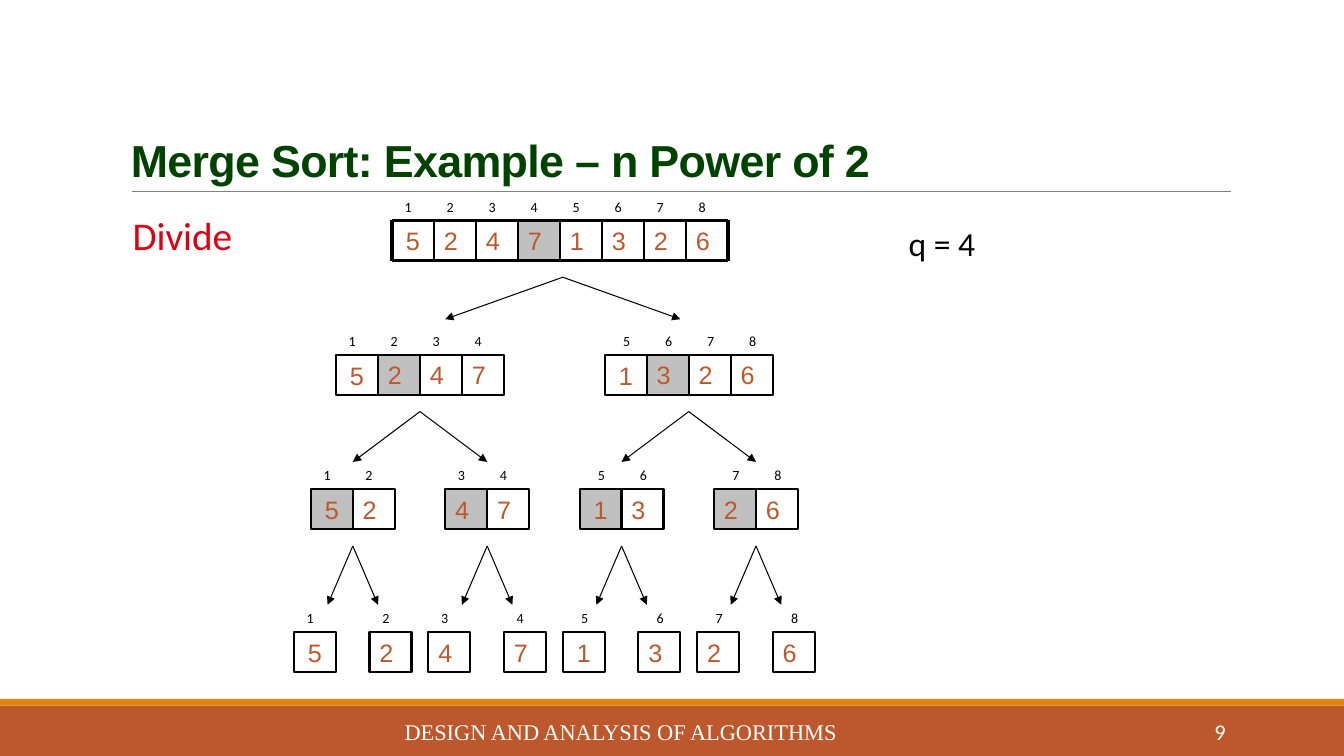
import pptx
import pptx.util
import pptx.dml.color
import pptx.enum.shapes
import pptx.enum.text
import pptx.oxml.ns
from lxml import etree

UNIT = pptx.util.Inches(1) / 12  # the slide is a grid of 160 columns and 90 rows
CELL_WIDTH, CELL_HEIGHT = 5, 4.8
LABEL_WIDTH, LABEL_HEIGHT = 3, 3.24
BLACK, RUST, ORANGE, SILVER = "000000", "BD582C", "E48312", "C0C0C0"

colour = pptx.dml.color.RGBColor.from_string
align = pptx.enum.text.PP_ALIGN
anchor = pptx.enum.text.MSO_ANCHOR
preset = pptx.enum.shapes.MSO_SHAPE

title_font = {"name": "Arial", "size": pptx.util.Pt(32), "bold": True}
footer_font = {"name": "Times New Roman", "size": pptx.util.Pt(16)}
number_font = {"name": "Calibri", "size": pptx.util.Pt(16)}
label_font = {"name": "Calibri", "size": pptx.util.Pt(10)}
cell_font = {"name": "Arial", "size": pptx.util.Pt(18)}
note_font = {"name": "Calibri", "size": pptx.util.Pt(24)}
heading_font = {"name": "Calibri", "size": pptx.util.Pt(28)}


def add_box(frame, text="", font=None, ink=BLACK, fill=None, line=None,
            across=align.LEFT, down=anchor.TOP):
    """Add a rectangle, or a text box if it has neither fill nor line; frame is in grid units."""
    place = [round(length * UNIT) for length in frame]
    if fill or line:
        box = page.shapes.add_shape(preset.RECTANGLE, *place)
        box.shadow.inherit = False
    else:
        box = page.shapes.add_textbox(*place)
    if fill:
        box.fill.solid()
        box.fill.fore_color.rgb = colour(fill)
    else:
        box.fill.background()
    if line:
        box.line.color.rgb = colour(BLACK)
        box.line.width = pptx.util.Pt(line)
    else:
        box.line.fill.background()
    box.text_frame.word_wrap = True
    box.text_frame.vertical_anchor = down
    if text:
        para = box.text_frame.paragraphs[0]
        para.alignment = across
        span = para.add_run()
        span.text = text
        for name, value in font.items():
            setattr(span.font, name, value)
        span.font.color.rgb = colour(ink)
    return box


def add_line(start, end, width, ink=BLACK, arrow=False):
    """Join two (column, row) points of the grid with a straight line."""
    line = page.shapes.add_connector(
        pptx.enum.shapes.MSO_CONNECTOR.STRAIGHT,
        *[round(length * UNIT) for length in start + end])
    line.line.color.rgb = colour(ink)
    line.line.width = pptx.util.Pt(width)
    properties = line._element.spPr
    if arrow:
        outline = properties.find(pptx.oxml.ns.qn("a:ln"))
        etree.SubElement(outline, pptx.oxml.ns.qn("a:tailEnd"), type="triangle")
    etree.SubElement(properties, pptx.oxml.ns.qn("a:effectLst"))


deck = pptx.Presentation()
deck.slide_width = round(160 * UNIT)
deck.slide_height = round(90 * UNIT)
page = deck.slides.add_slide(deck.slide_layouts[6])

# Footer bars, title and rule
add_box((0, 84, 160, 6), fill=RUST)
add_box((0, 83.2, 160, 0.8), fill=ORANGE)
add_line((15.7, 22.8), (146.5, 22.8), 0.5, "808080")
title = add_box((14.4, 3.7, 132, 19.1), "Merge Sort: Example – n Power of 2",
                title_font, "004200", down=anchor.BOTTOM)
title_para = title.text_frame.paragraphs[0]
title_para.line_spacing = 0.85
title_para.runs[0]._r.get_or_add_rPr().set("spc", "-50")
add_box((44, 84.7, 59.8, 4.8), "DESIGN AND ANALYSIS OF ALGORITHMS", footer_font,
        "FFFFFF", across=align.CENTER, down=anchor.MIDDLE)
add_box((130, 84.7, 17.1, 4.8), "9", number_font, "FFFFFF",
        across=align.RIGHT, down=anchor.MIDDLE)
add_box((14.6, 24.6, 15.4, 6.8), "Divide", heading_font, "DD0111")
add_box((107, 26, 13, 6.1), "q = 4", note_font)

# Each level: row of its labels, left column of each run of cells
values = [5, 2, 4, 7, 1, 3, 2, 6]
levels = [
    (23, [46.67]),
    (39, [40, 72]),
    (55, [37, 53, 69, 85]),
    (72, [35, 44, 51, 60, 67, 76, 83, 92]),
]
for label_top, lefts in levels:
    whole = len(lefts) == 1
    run_length = len(values) // len(lefts)
    cell_top = label_top + LABEL_HEIGHT
    for index, value in enumerate(values):
        run, offset = divmod(index, run_length)
        left = lefts[run] + offset * CELL_WIDTH
        right_half = index >= len(values) // 2 and not whole
        opens_half = index == 0 or index == len(values) // 2 and not whole
        middle = run_length > 1 and offset == run_length // 2 - 1
        add_box((left + (1 if right_half else 0.33), label_top, LABEL_WIDTH, LABEL_HEIGHT),
                str(index + 1), label_font)
        add_box((left, cell_top, CELL_WIDTH, CELL_HEIGHT), str(value), cell_font, RUST,
                fill=SILVER if middle else None, line=None if whole else 1.5,
                across=align.CENTER if opens_half else align.LEFT,
                down=anchor.MIDDLE if opens_half else anchor.TOP)

# Ruling of the undivided array
top_row, (array_left,) = levels[0]
array_top = top_row + LABEL_HEIGHT
array_bottom = array_top + CELL_HEIGHT
array_right = array_left + len(values) * CELL_WIDTH
for row in (array_top, array_bottom):
    add_line((array_left, row), (array_right, row), 2.25)
for edge in range(len(values) + 1):
    column = array_left + edge * CELL_WIDTH
    add_line((column, array_top), (column, array_bottom),
             2.25 if edge in (0, len(values)) else 1)

# Splits: columns they start from, first and last row, reach to either side
splits = [
    ([67], 33, 38, 14),
    ([50, 82], 49, 55, 8),
    ([42, 58, 74, 90], 65, 72, 3),
]
for columns, first_row, last_row, reach in splits:
    for column in columns:
        for side in (-reach, reach):
            add_line((column, first_row), (column + side, last_row), 0.75, arrow=True)

deck.save("out.pptx")
